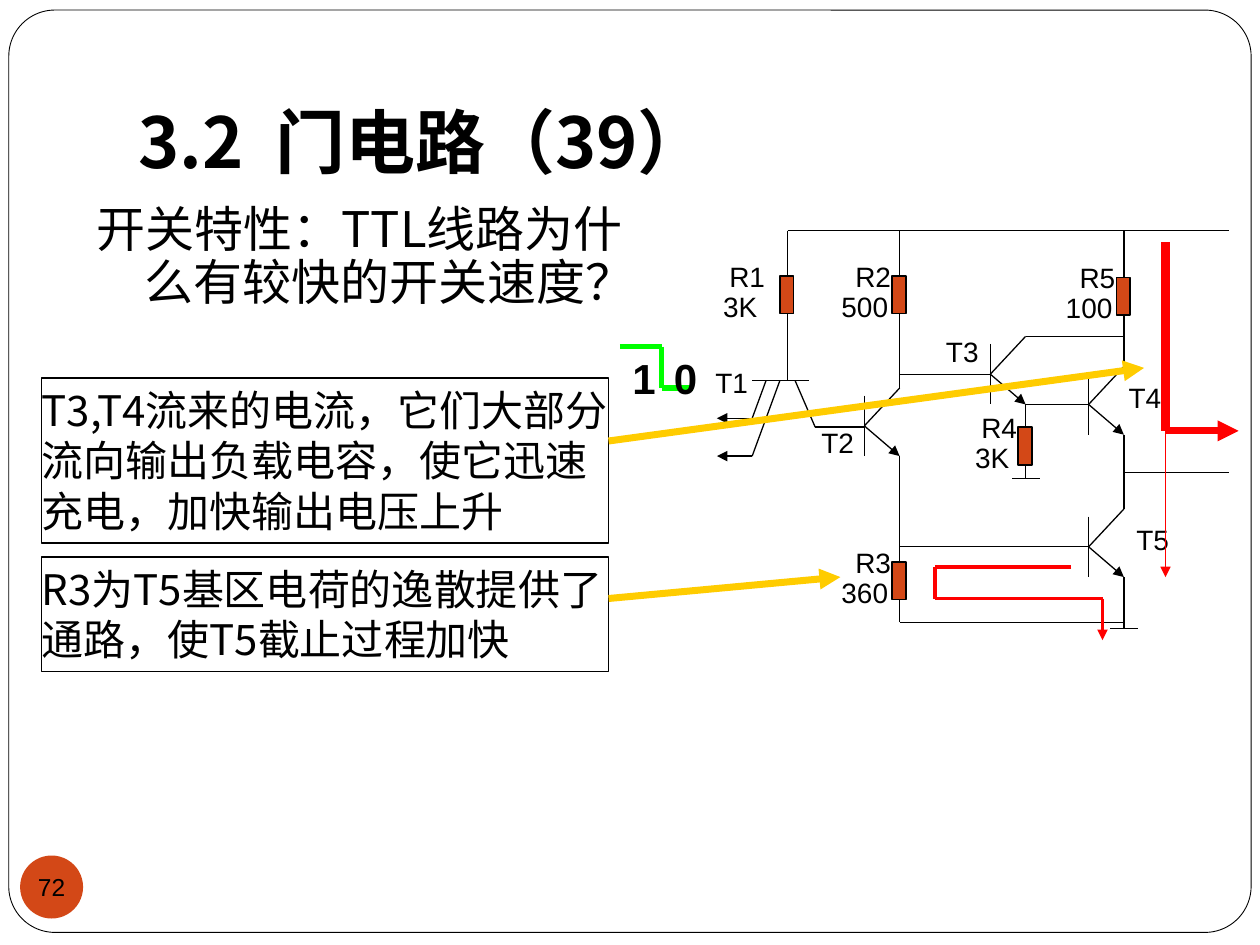
from pptx import Presentation
from pptx import util as u
from pptx.dml.color import RGBColor
from pptx.enum import shapes, text
from pptx.oxml.ns import qn
from lxml import etree

COLORS = {
    "ink": "000000",
    "paper": "FFFFFF",
    "accent": "D34817",
    "current": "FF0000",
    "signal": "00FF00",
    "pointer": "FFCC00",
}
SCALE = 9144
CJK = "Noto Sans CJK JP"
LATIN = "Arial"


def px(length):
    return u.Emu(length * SCALE)


def rgb(name):
    return RGBColor.from_string(COLORS[name])


class Sketch:
    def __init__(self, slide):
        self.slide = slide

    def add_words(self, frame, words, size, font, bold=False, insets=(10, 5, 10, 5),
                  anchor=text.MSO_ANCHOR.TOP, align=text.PP_ALIGN.LEFT, wrap=True):
        frame.word_wrap = wrap
        frame.auto_size = text.MSO_AUTO_SIZE.NONE
        frame.vertical_anchor = anchor
        (frame.margin_left, frame.margin_top,
         frame.margin_right, frame.margin_bottom) = map(px, insets)
        paragraph = frame.paragraphs[0]
        paragraph.alignment = align
        run = paragraph.add_run()
        run.text = words
        run.font.size = u.Pt(size)
        run.font.bold = bold
        run.font.color.rgb = rgb("ink")
        run.font.name = font
        etree.SubElement(run.font._element, qn("a:ea")).set("typeface", font)
        return paragraph

    def title(self, words, box):
        heading = self.slide.shapes.title
        heading.left, heading.top, heading.width, heading.height = map(px, box)
        self.add_words(heading.text_frame, words, 40, CJK, bold=True,
                       insets=(10, 5, 10, 10), anchor=text.MSO_ANCHOR.BOTTOM)

    def label(self, words, box, size=16, font=LATIN, bold=False):
        holder = self.slide.shapes.add_textbox(*map(px, box))
        return self.add_words(holder.text_frame, words, size, font, bold)

    def block(self, kind, box, fill=None, outline=0.75):
        shape = self.slide.shapes.add_shape(kind, *map(px, box))
        shape.shadow.inherit = False
        if fill:
            shape.fill.solid()
            shape.fill.fore_color.rgb = rgb(fill)
        else:
            shape.fill.background()
        if outline:
            shape.line.color.rgb = rgb("ink")
            shape.line.width = u.Pt(outline)
        else:
            shape.line.fill.background()
        return shape

    def frame(self, box):
        border = self.block(shapes.MSO_SHAPE.ROUNDED_RECTANGLE, box, "paper", 0.5)
        border.adjustments[0] = 0.05
        self.slide.shapes._spTree.insert(2, border._element)

    def page_number(self, words, box):
        badge = self.block(shapes.MSO_SHAPE.OVAL, box, "accent", 0)
        self.add_words(badge.text_frame, words, 14, LATIN, insets=(0, 0, 0, 0),
                       anchor=text.MSO_ANCHOR.MIDDLE, align=text.PP_ALIGN.CENTER,
                       wrap=False)

    def note(self, words, box):
        panel = self.block(shapes.MSO_SHAPE.RECTANGLE, box)
        self.add_words(panel.text_frame, words, 24, CJK, insets=(0, 5, 0, 5))

    def wire(self, *points, color="ink", width=0.75, arrow=False):
        for start, end in zip(points, points[1:]):
            segment = self.slide.shapes.add_connector(
                shapes.MSO_CONNECTOR.STRAIGHT, *map(px, start + end))
            segment.line.color.rgb = rgb(color)
            segment.line.width = u.Pt(width)
            if arrow and end == points[-1]:
                line = segment.line._get_or_add_ln()
                etree.SubElement(line, qn("a:tailEnd")).set("type", "triangle")
            etree.SubElement(segment._element.spPr, qn("a:effectLst"))

    def resistor(self, name, value, x, top, name_shift=45, value_shift=56):
        self.block(shapes.MSO_SHAPE.RECTANGLE, (x - 6, top, 11, 30), "accent")
        self.label(name, (x - name_shift, top - 18, 50, 37))
        self.label(value, (x - value_shift, top + 6, 61, 37))

    def transistor(self, name, x, y, label_at):
        self.wire((x, y - 24), (x, y + 24))
        self.wire((x + 28, y - 30), (x, y))
        self.wire((x, y), (x + 28, y + 24), arrow=True)
        self.label(name, label_at + (50, 37))


def draw_circuit(sketch):
    for part in (
        ("R1", "3K", 625, 219, 56, 61),
        ("R2", "500", 714, 219),
        ("R3", "360", 714, 446),
        ("R4", "3K", 814, 339, 45, 50),
        ("R5", "100", 892, 220),
    ):
        sketch.resistor(*part)

    for part in (
        ("T2", 686, 338, (642, 333)),
        ("T3", 786, 297, (741, 261)),
        ("T4", 864, 321, (886, 297)),
        ("T5", 864, 434, (892, 410)),
    ):
        sketch.transistor(*part)

    sketch.label("T1", (558, 285, 50, 37))
    sketch.wire((597, 302), (642, 302))
    for base_x, input_y in ((608, 332), (619, 362)):
        sketch.wire((base_x, 302), (597, input_y), (569, input_y), arrow=True)

    for route in (
        ((631, 302), (647, 339), (686, 339)),
        ((625, 183), (975, 183)),
        ((625, 183), (625, 219)),
        ((625, 249), (625, 302)),
        ((714, 183), (714, 219)),
        ((714, 249), (714, 308)),
        ((786, 297), (714, 297)),
        ((814, 267), (892, 267)),
        ((892, 183), (892, 220)),
        ((892, 250), (892, 291)),
        ((814, 321), (864, 321)),
        ((814, 321), (814, 339)),
        ((814, 369), (814, 380)),
        ((825, 380), (803, 380)),
        ((714, 362), (714, 446)),
        ((864, 434), (714, 434)),
        ((892, 345), (892, 404)),
        ((892, 375), (975, 375)),
        ((892, 458), (892, 499)),
        ((903, 499), (881, 499)),
        ((714, 476), (714, 494), (892, 494)),
    ):
        sketch.wire(*route)


def draw_currents(sketch):
    sketch.wire((925, 192), (925, 342), color="current", width=5)
    sketch.wire((925, 342), (925, 458), color="current", arrow=True)
    sketch.wire((925, 342), (983, 342), color="current", width=4, arrow=True)
    sketch.wire((850, 450), (742, 450), (742, 475), (875, 475), (875, 508),
                color="current", width=2, arrow=True)


def draw_input_step(sketch):
    sketch.wire((492, 275), (525, 275), (525, 308), (550, 308),
                color="signal", width=3)
    for level, box in (("1", (492, 275, 25, 51)), ("0", (525, 275, 33, 51))):
        sketch.label(level, box, 24, bold=True)


def draw_explanations(sketch):
    question = sketch.label("开关特性：TTL线路为什么有较快的开关速度？",
                            (67, 158, 475, 92), 28, CJK)
    question.line_spacing = 0.9
    properties = question._p.get_or_add_pPr()
    properties.set("marL", str(px(38)))
    properties.set("indent", str(-px(38)))

    for words, box, start, end in (
        ("T3,T4流来的电流，它们大部分流向输出负载电容，使它迅速充电，加快输出电压上升",
         (33, 300, 450, 131), (483, 350), (908, 292)),
        ("R3为T5基区电荷的逸散提供了通路，使T5截止过程加快",
         (33, 442, 450, 91), (483, 475), (667, 458)),
    ):
        sketch.note(words, box)
        sketch.wire(start, end, color="pointer", width=4, arrow=True)


def main():
    deck = Presentation()
    deck.slide_width, deck.slide_height = px(1000), px(750)
    sketch = Sketch(deck.slides.add_slide(deck.slide_layouts[5]))
    sketch.frame((7, 8, 986, 732))
    sketch.title("3.2  门电路（39）", (100, 30, 850, 125))
    sketch.page_number("72", (16, 679, 50, 50))
    draw_circuit(sketch)
    draw_currents(sketch)
    draw_input_step(sketch)
    draw_explanations(sketch)
    deck.save("out.pptx")


if __name__ == "__main__":
    main()
